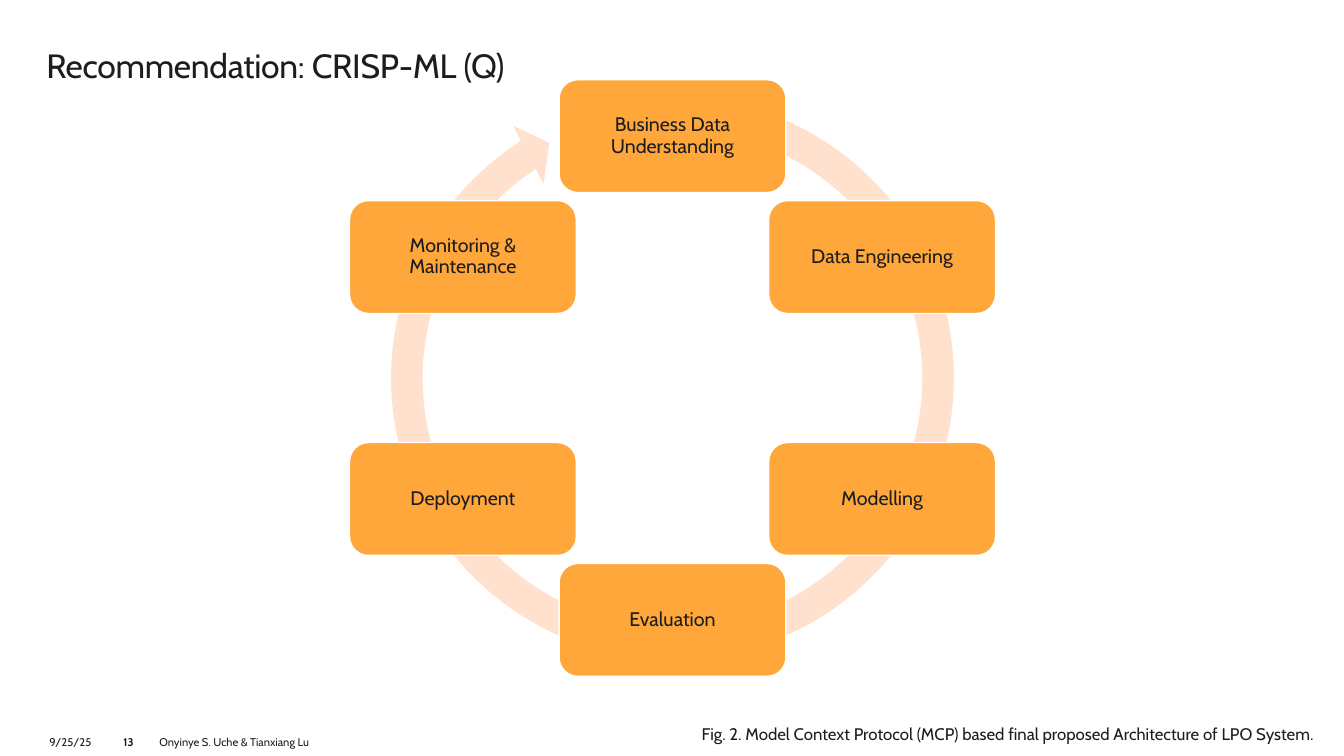
from math import cos, pi, sin

from pptx import Presentation
from pptx.dml.color import RGBColor
from pptx.enum.shapes import MSO_SHAPE as Preset
from pptx.enum.text import MSO_ANCHOR as Anchor, MSO_AUTO_SIZE as AutoSize, PP_ALIGN as Align
from pptx.util import Inches, Pt

TITLE = "Recommendation: CRISP-ML (Q)"
STAGES = [
    "Business Data Understanding",
    "Data Engineering",
    "Modelling",
    "Evaluation",
    "Deployment",
    "Monitoring & Maintenance",
]
CAPTION = "Fig. 2. Model Context Protocol (MCP) based final proposed Architecture of LPO System."
LABELS = [
    ("9/25/25", (0.49, 7.29, 0.51, 0.15), 8, False, Align.LEFT, 1.0),
    ("Onyinye S. Uche & Tianxiang Lu", (1.58, 7.29, 11.45, 0.15), 8, False, Align.LEFT, 1.0),
    ("13", (1.05, 7.29, 0.45, 0.15), 8, True, Align.CENTER, 1.0),
    (CAPTION, (6.96, 7.14, 6.37, 0.56), 12, False, Align.LEFT, 1.2),
]
COLORS = {"text": "1D1D1F", "stage": "FFA73A", "ring": "FFE1CE", "edge": "FFFFFF"}
FONT = "Cabin"

CENTER_X, CENTER_Y, RADIUS = 6.67, 3.75, 2.4
STAGE_WIDTH, STAGE_HEIGHT = 2.25, 1.12
RING_SIZE = 5.92
RING_ADJUSTMENTS = [0.053, 3.126, 142.291, 171.264, 0.055]


def color(name):
    return RGBColor.from_string(COLORS[name])


def write(shape, text, size, align, spacing, anchor=Anchor.TOP, inset=0, bold=False):
    frame = shape.text_frame
    frame.text = text
    frame.word_wrap = True
    frame.auto_size = AutoSize.NONE
    frame.vertical_anchor = anchor
    frame.margin_left = frame.margin_right = Inches(inset)
    frame.margin_top = frame.margin_bottom = Inches(inset)
    paragraph = frame.paragraphs[0]
    paragraph.alignment = align
    paragraph.line_spacing = spacing
    font = paragraph.font
    font.name, font.size, font.bold = FONT, Pt(size), bold
    font.color.rgb = color("text")
    return paragraph


def add_preset(slide, preset, center_x, center_y, width, height, fill):
    shape = slide.shapes.add_shape(
        preset,
        Inches(center_x - width / 2),
        Inches(center_y - height / 2),
        Inches(width),
        Inches(height),
    )
    shape.shadow.inherit = False
    shape.fill.solid()
    shape.fill.fore_color.rgb = color(fill)
    return shape


def add_title(slide):
    title = slide.shapes.title
    title.left, title.top = Inches(0.46), Inches(0.49)
    title.width, title.height = Inches(9.28), Inches(0.91)
    paragraph = write(title, TITLE, 24, Align.LEFT, 0.9)
    paragraph.runs[0]._r.get_or_add_rPr().set("spc", "-20")


def add_cycle(slide):
    ring = add_preset(slide, Preset.CIRCULAR_ARROW, CENTER_X, CENTER_Y, RING_SIZE, RING_SIZE, "ring")
    ring.line.fill.background()
    for index, value in enumerate(RING_ADJUSTMENTS):
        ring.adjustments[index] = value
    for index, name in enumerate(STAGES):
        angle = 2 * pi * index / len(STAGES)
        stage = add_preset(
            slide,
            Preset.ROUNDED_RECTANGLE,
            CENTER_X + RADIUS * sin(angle),
            CENTER_Y - RADIUS * cos(angle),
            STAGE_WIDTH,
            STAGE_HEIGHT,
            "stage",
        )
        stage.line.color.rgb = color("edge")
        stage.line.width = Pt(1)
        write(stage, name, 14, Align.CENTER, 0.9, Anchor.MIDDLE, 0.11)


def main():
    presentation = Presentation()
    presentation.slide_width, presentation.slide_height = Inches(13.33), Inches(7.5)
    slide = presentation.slides.add_slide(presentation.slide_layouts[5])
    add_title(slide)
    for text, box, size, bold, align, spacing in LABELS:
        label = slide.shapes.add_textbox(*map(Inches, box))
        write(label, text, size, align, spacing, bold=bold)
    add_cycle(slide)
    presentation.save("out.pptx")


if __name__ == "__main__":
    main()
